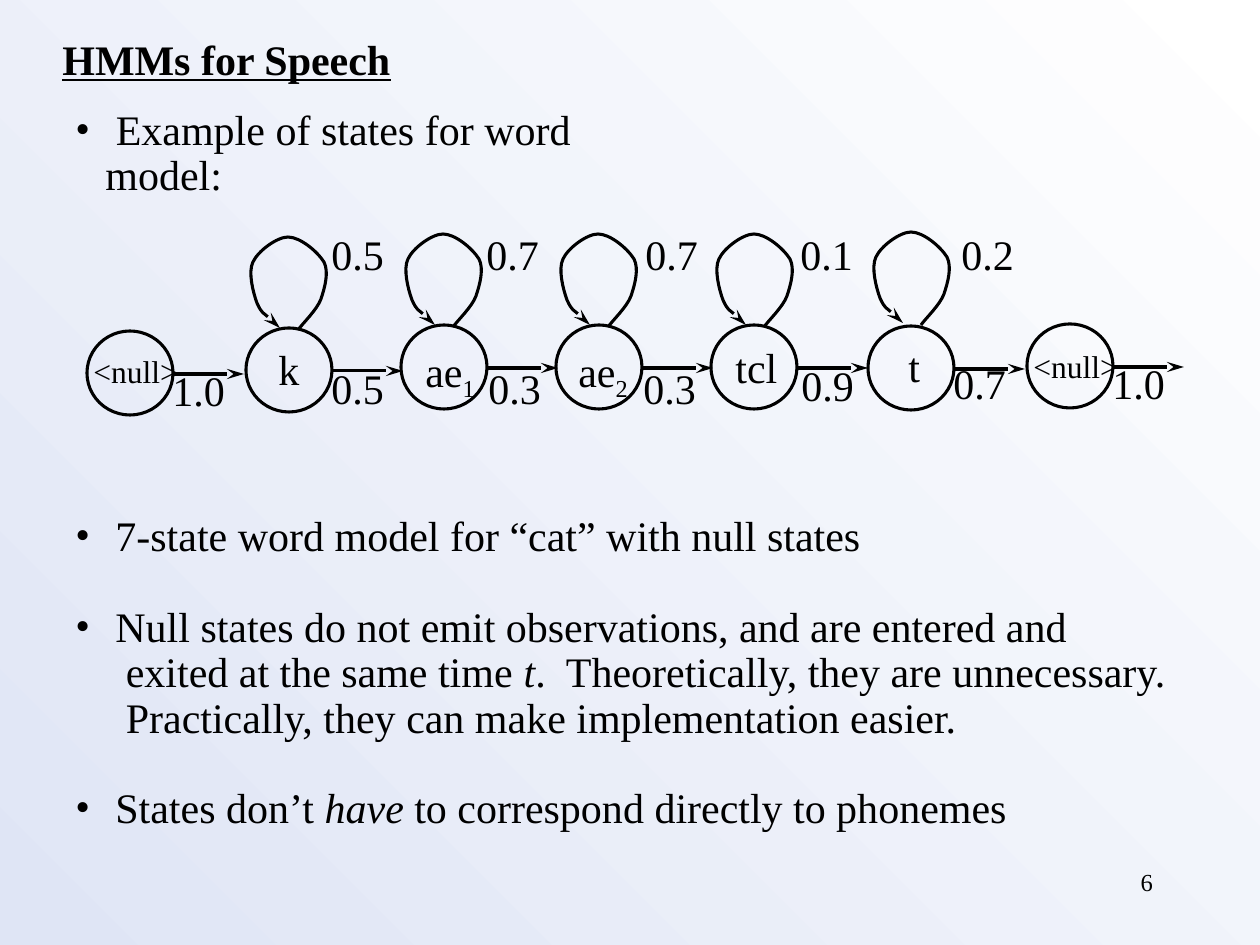
from itertools import chain

from lxml.etree import SubElement
from pptx import Presentation
from pptx.dml.color import RGBColor
from pptx.enum.shapes import MSO_CONNECTOR, MSO_SHAPE
from pptx.enum.text import PP_ALIGN
from pptx.oxml.ns import qn
from pptx.util import Pt

EMU_PER_PX = 914400 / 126
COLORS = {"ink": "000000", "light": "FFFFFF", "shade": "DFE5F5"}
FONT = "Times New Roman"
LINE_WIDTH = 1.75
STATE_WIDTH, STATE_HEIGHT = 86, 84
ARROW_LENGTH = 71
PROBABILITY_SIZE = (77, 58)
LOOP_LABEL_TOP = 228

NORMAL = {}
ITALIC = {"italic": True}
HEADING = {"bold": True, "underline": True}

LOOP_START = (50, 93)
LOOP_CURVES = [
    ((54, 87), (69, 73), (73, 62)),
    ((77, 50), (81, 35), (76, 25)),
    ((69, 14), (52, 0), (40, 0)),
    ((29, 0), (10, 14), (5, 25)),
    ((0, 35), (5, 55), (9, 66)),
    ((14, 77), (28, 86), (32, 91)),
]

STATES = [
    {"at": (87, 331), "name": "<null>", "size": 18, "name_box": (81, 350, 110, 47),
     "next": ("1.0", 160, 364)},
    {"at": (246, 328), "name": "k", "name_box": (266, 343, 45, 58),
     "next": ("0.5", 319, 362), "loop": ("0.5", 319, 248, 237)},
    {"at": (401, 325), "name": "ae", "subscript": "1", "name_box": (413, 340, 74, 64),
     "next": ("0.3", 476, 362), "loop": ("0.7", 474, 403, 234)},
    {"at": (556, 325), "name": "ae", "subscript": "2", "name_box": (566, 340, 74, 64),
     "next": ("0.3", 631, 362), "loop": ("0.7", 633, 558, 234)},
    {"at": (711, 325), "name": "tcl", "name_box": (723, 341, 67, 58),
     "next": ("0.9", 789, 359), "loop": ("0.1", 788, 714, 234)},
    {"at": (868, 326), "name": "t", "name_box": (896, 340, 37, 58),
     "next": ("0.7", 941, 357), "loop": ("0.2", 949, 871, 232)},
    {"at": (1027, 324), "name": "<null>", "size": 18, "name_box": (1021, 345, 110, 47),
     "next": ("1.0", 1100, 357)},
]

INTRO = [[(" Example of states for word model:", NORMAL)]]
NOTES = [
    [("7-state word model for “cat” with null states", NORMAL)],
    [("Null states do not emit observations, and are entered and\v"
      " exited at the same time ", NORMAL),
     ("t", ITALIC),
     (".  Theoretically, they are unnecessary.\v"
      " Practically, they can make implementation easier.", NORMAL)],
    [("States don’t ", NORMAL), ("have", ITALIC),
     (" to correspond directly to phonemes", NORMAL)],
]


def px(value):
    return round(value * EMU_PER_PX)


def rgb(name):
    return RGBColor.from_string(COLORS[name])


def set_attributes(target, values):
    for name, value in values.items():
        setattr(target, name, value)


def set_background(slide):
    fill = slide.background.fill
    fill.gradient()
    fill.gradient_angle = 225
    for stop, name in zip(fill.gradient_stops, ("light", "shade")):
        stop.color.rgb = rgb(name)


def add_run(paragraph, text, size, values):
    for index, piece in enumerate(text.split("\v")):
        if index:
            paragraph.add_line_break()
        run = paragraph.add_run()
        run.text = piece
        set_attributes(run.font, {"name": FONT, "size": Pt(size), **values})
        run.font.color.rgb = rgb("ink")
    return run


def add_box(slide, box, wrap=False):
    frame = slide.shapes.add_textbox(*map(px, box)).text_frame
    frame.word_wrap = wrap
    return frame


def add_label(slide, box, text, size=24, subscript=None, values=NORMAL, layout=NORMAL):
    frame = add_box(slide, box)
    frame.margin_right = 0
    paragraph = frame.paragraphs[0]
    set_attributes(paragraph, {"line_spacing": 0.9, **layout})
    add_run(paragraph, text, size, values)
    if subscript:
        run = add_run(paragraph, subscript, size, values)
        run.font._element.set("baseline", "-25000")


def add_bullets(slide, box, items, hanging):
    frame = add_box(slide, box, wrap=True)
    for index, runs in enumerate(items):
        paragraph = frame.add_paragraph() if index else frame.paragraphs[0]
        paragraph.line_spacing = 0.9
        if index:
            paragraph.space_before = Pt(26)
        properties = paragraph._p.get_or_add_pPr()
        properties.set("marL", str(px(hanging)))
        properties.set("indent", str(-px(hanging)))
        SubElement(properties, qn("a:buFont")).set("typeface", FONT)
        SubElement(properties, qn("a:buChar")).set("char", "•")
        for text, values in runs:
            add_run(paragraph, text, 24, values)


def style_line(shape, arrow=False):
    shape.line.color.rgb = rgb("ink")
    shape.line.width = Pt(LINE_WIDTH)
    if arrow:
        tail = SubElement(shape._element.spPr.get_or_add_ln(), qn("a:tailEnd"))
        tail.set("type", "stealth")
        tail.set("len", "lg")


def add_circle(slide, left, top):
    box = map(px, (left, top, STATE_WIDTH, STATE_HEIGHT))
    circle = slide.shapes.add_shape(MSO_SHAPE.OVAL, *box)
    circle.shadow.inherit = False
    circle.fill.background()
    style_line(circle)


def add_arrow(slide, left, top):
    ends = map(px, (left, top, left + ARROW_LENGTH, top))
    arrow = slide.shapes.add_connector(MSO_CONNECTOR.STRAIGHT, *ends)
    style_line(arrow, arrow=True)
    SubElement(arrow._element.spPr, qn("a:effectLst"))


def join_curves(shape):
    segments = list(shape._element.iter(qn("a:lnTo")))
    outline = segments[0].getparent()
    for first in range(0, len(segments), 3):
        curve = SubElement(outline, qn("a:cubicBezTo"))
        for segment in segments[first:first + 3]:
            curve.append(segment[0])
            outline.remove(segment)


def add_loop(slide, left, top):
    builder = slide.shapes.build_freeform(*map(px, LOOP_START))
    points = [(px(x), px(y)) for x, y in chain.from_iterable(LOOP_CURVES)]
    builder.add_line_segments(points, close=False)
    loop = builder.convert_to_shape(px(left), px(top))
    join_curves(loop)
    loop.shadow.inherit = False
    loop.fill.background()
    style_line(loop, arrow=True)


def add_state(slide, state):
    left, top = state["at"]
    add_circle(slide, left, top)
    add_arrow(slide, left + STATE_WIDTH, top + STATE_HEIGHT // 2 + 1)
    add_label(slide, state["name_box"], state["name"], state.get("size", 24),
              state.get("subscript"))
    probability, label_left, label_top = state["next"]
    add_label(slide, (label_left, label_top, *PROBABILITY_SIZE), probability)
    if "loop" in state:
        probability, label_left, loop_left, loop_top = state["loop"]
        add_loop(slide, loop_left, loop_top)
        add_label(slide, (label_left, LOOP_LABEL_TOP, *PROBABILITY_SIZE), probability)


def main():
    presentation = Presentation()
    presentation.slide_width, presentation.slide_height = px(1260), px(945)
    slide = presentation.slides.add_slide(presentation.slide_layouts[6])
    set_background(slide)
    add_label(slide, (50, 27, 354, 63), "HMMs for Speech", values=HEADING,
              layout={"line_spacing": 1.0})
    add_bullets(slide, (63, 103, 630, 58), INTRO, 30)
    for state in STATES:
        add_state(slide, state)
    add_bullets(slide, (63, 509, 1155, 333), NOTES, 40)
    add_label(slide, (903, 861, 250, 63), "6", size=14,
              layout={"alignment": PP_ALIGN.RIGHT, "line_spacing": 1.0})
    presentation.save("out.pptx")


if __name__ == "__main__":
    main()
